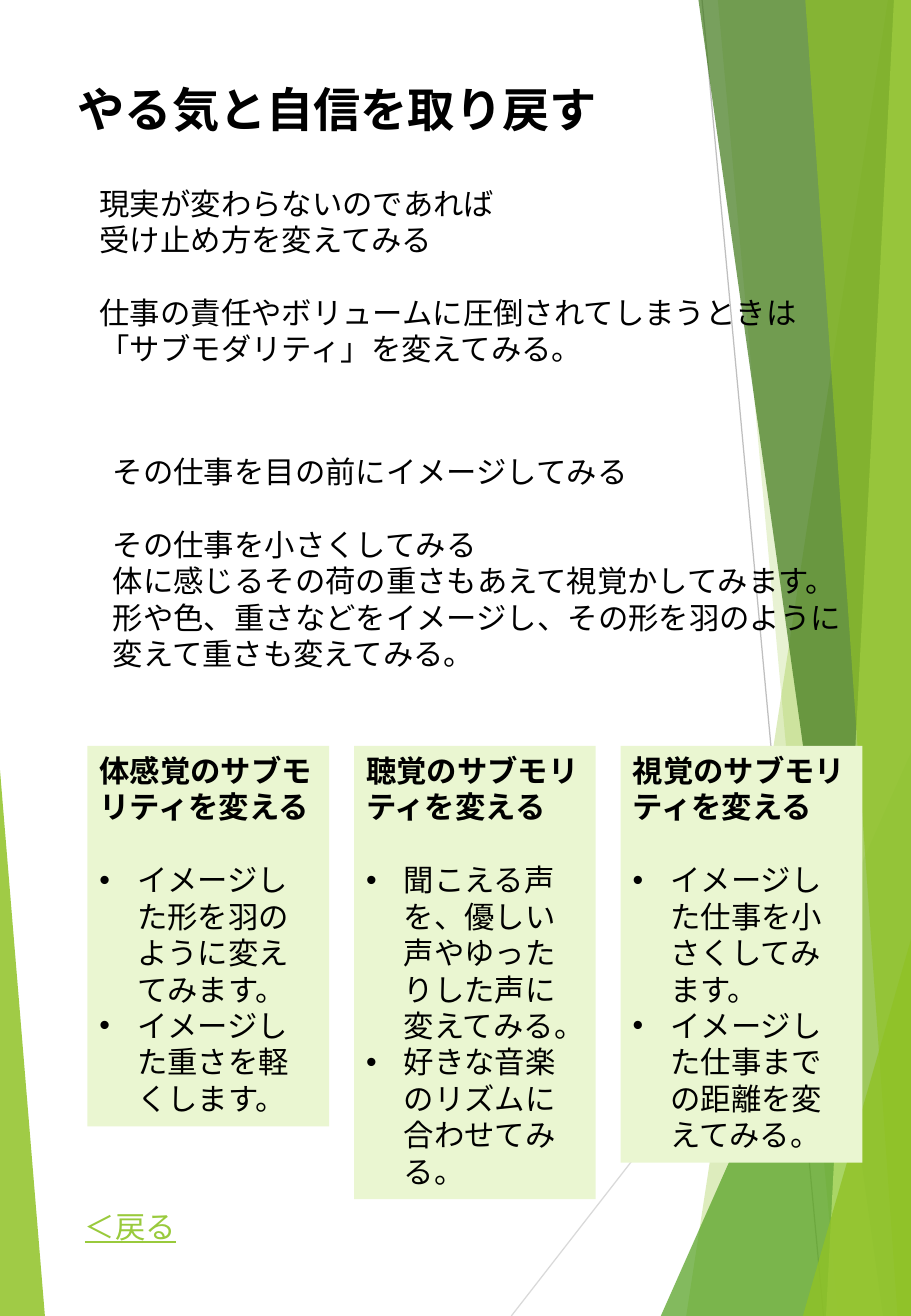
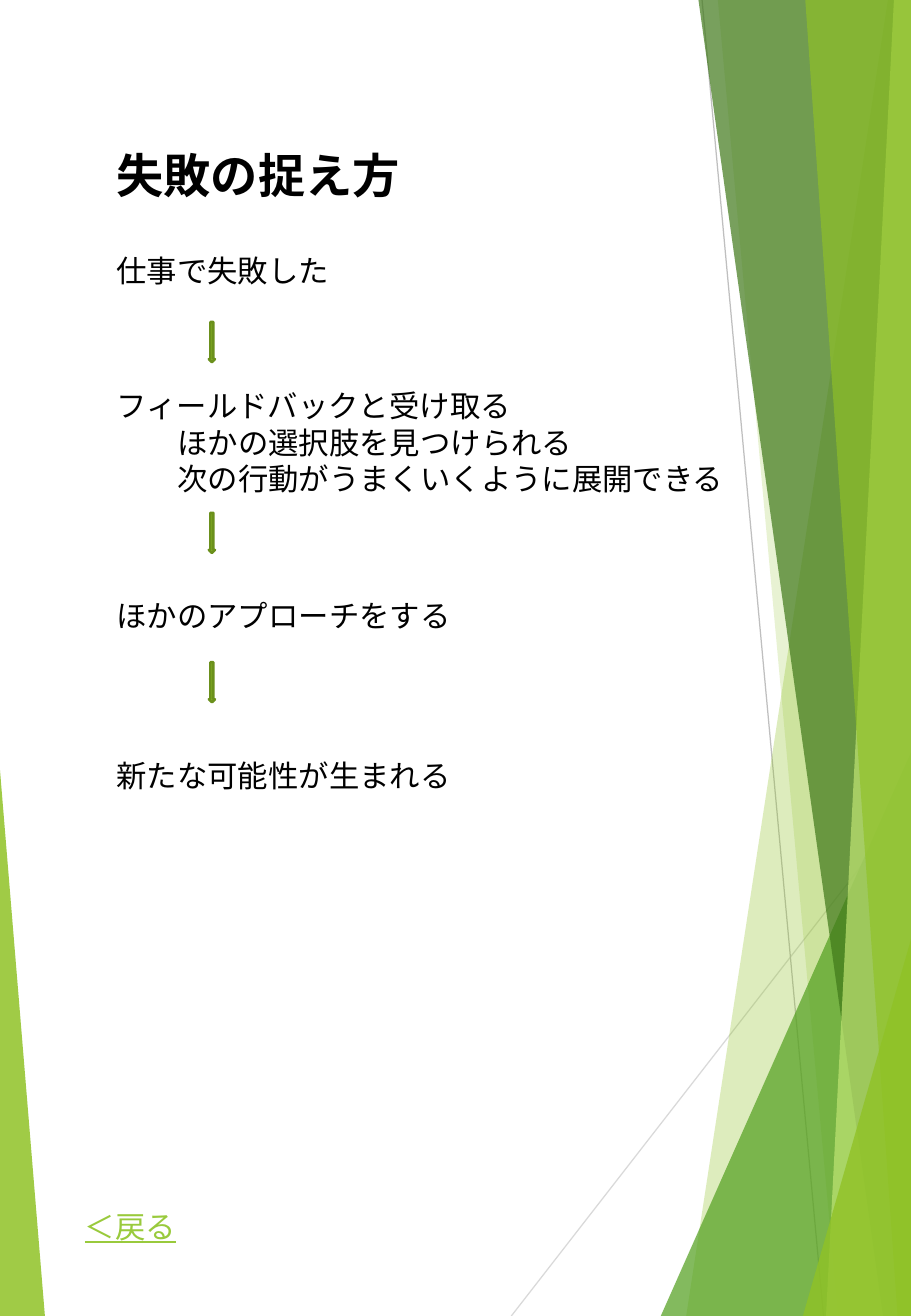
from dataclasses import dataclass

from lxml import etree
from pptx import Presentation
from pptx.dml.color import RGBColor
from pptx.enum.lang import MSO_LANGUAGE_ID
from pptx.enum.shapes import MSO_CONNECTOR, MSO_SHAPE
from pptx.enum.text import MSO_ANCHOR, MSO_AUTO_SIZE, PP_ALIGN
from pptx.oxml.ns import qn
from pptx.util import Inches, Pt

RECTANGLE, DOWN_ARROW = MSO_SHAPE.RECTANGLE, MSO_SHAPE.DOWN_ARROW
STRAIGHT = MSO_CONNECTOR.STRAIGHT
LEFT, TOP, NO_FIT = PP_ALIGN.LEFT, MSO_ANCHOR.TOP, MSO_AUTO_SIZE.NONE
JAPANESE = MSO_LANGUAGE_ID.JAPANESE

WIDTH, HEIGHT = Inches(7.5), Inches(10.83)
FONT = "Noto Sans"
TITLE_SIZE, BODY_SIZE, LINE_FACTOR = 28, 18, 1.2
BLACK = RGBColor(0x00, 0x00, 0x00)
LIME = RGBColor(0x90, 0xC2, 0x26)
GREEN = RGBColor(0x54, 0xA0, 0x21)
FOREST = RGBColor(0x3F, 0x78, 0x19)
PALE_LIME = RGBColor(0xC0, 0xE4, 0x74)
CARD_FILL = RGBColor(0xEA, 0xF6, 0xD1)
LINK = RGBColor(0x99, 0xCA, 0x3C)
ARROW_EDGE = RGBColor(0x6B, 0x90, 0x1C)
LIGHT_GRAY = RGBColor(0xD9, 0xD9, 0xD9)
GRAY = RGBColor(0xBF, 0xBF, 0xBF)

# All places and sizes are percentages of the slide: left, top, width, height.
RAYS = [(56.13, 100, 100, 60.94, LIGHT_GRAY), (77.07, 0, 90.4, 100, GRAY)]
# Top x, top y, bottom x, slide edge, colour, opacity.
LEFT_FACET = (0, 58.54, 4.93, 0, LIME, 85)
RIGHT_FACETS = [
    (97.47, 0, 75.33, 100, LIME, 30),
    (78.8, 0, 92, 100, LIME, 20),
    (100, 57.16, 72.53, 100, GREEN, 72),
    (76.67, 0, 96.93, 100, FOREST, 70),
    (98.13, 0, 90.67, 100, PALE_LIME, 70),
    (88.4, 0, 98.53, 100, LIME, 65),
    (100, 71.38, 88.13, 100, LIME, 80),
]
CARD_LEFT, CARD_TOP, CARD_WIDTH, CARD_PITCH = 9.6, 56.69, 26.53, 29.27
CARD_PADDING, CARD_LINE = 1.2, 2.77
CARDS = [
    ("体感覚のサブモリティを変える", 10,
     ["イメージした形を羽のように変えてみます。", "イメージした重さを軽くします。"]),
    ("聴覚のサブモリティを変える", 12,
     ["聞こえる声を、優しい声やゆったりした声に変えてみる。",
      "好きな音楽のリズムに合わせてみる。"]),
    ("視覚のサブモリティを変える", 11,
     ["イメージした仕事を小さくしてみます。",
      "イメージした仕事までの距離を変えてみる。"]),
]
STEP_LEFT, STEP_HEIGHT = 11.47, 3.69
STEPS = [
    ("仕事で失敗した", 18.74, 26.27),
    ("ほかのアプローチをする", 44.88, 39.73),
    ("新たな可能性が生まれる", 57.06, 39.73),
]
ARROW_TOPS = [24.47, 38.97, 50.32]


@dataclass
class Para:
    """One paragraph and the way it differs from plain body text."""
    text: str
    size: int = BODY_SIZE
    bold: bool = False
    underline: bool = False
    color: RGBColor = BLACK
    after_gap: bool = False
    indent: float = 0
    bullet: bool = False


def across(share):
    """Length from a percentage of the slide width."""
    return round(WIDTH * share / 100)


def down(share):
    """Length from a percentage of the slide height."""
    return round(HEIGHT * share / 100)


def box(left, top, width, height):
    """Slide lengths of a box given in percentages."""
    return across(left), down(top), across(width), down(height)


def write(shape, paras, wrap=True):
    """Fill a shape with formatted paragraphs."""
    frame = shape.text_frame
    frame.word_wrap, frame.auto_size = wrap, NO_FIT
    frame.vertical_anchor = TOP
    for index, para in enumerate(paras):
        paragraph = frame.add_paragraph() if index else frame.paragraphs[0]
        line = para.size * LINE_FACTOR
        paragraph.alignment = LEFT
        paragraph.line_spacing = Pt(line)
        paragraph.space_before = Pt(line if para.after_gap else 0)
        set_indent(paragraph, para)
        run = paragraph.add_run()
        run.text = para.text
        font = run.font
        font.name, font.size, font.bold = FONT, Pt(para.size), para.bold
        font.underline, font.language_id = para.underline, JAPANESE
        font.color.rgb = para.color
        latin = run._r.get_or_add_rPr().find(qn("a:latin"))
        east_asian = etree.Element(qn("a:ea"), typeface=FONT)
        latin.addnext(east_asian)


def set_indent(paragraph, para):
    """Set left indent and bullet of a paragraph."""
    props = paragraph._p.get_or_add_pPr()
    hanging = -Inches(para.indent) if para.bullet else 0
    props.set("marL", str(Inches(para.indent)))
    props.set("indent", str(hanging))
    if para.bullet:
        etree.SubElement(props, qn("a:buFont"), typeface="Arial")
        etree.SubElement(props, qn("a:buChar"), char="•")
    else:
        etree.SubElement(props, qn("a:buNone"))


def place(placeholder, area, paras, wrap=True):
    """Move a template placeholder and fill it."""
    (placeholder.left, placeholder.top,
     placeholder.width, placeholder.height) = box(*area)
    write(placeholder, paras, wrap)


def add_text(slide, area, paras, wrap=True):
    """Add a text box."""
    write(slide.shapes.add_textbox(*box(*area)), paras, wrap)


def add_title(slide, text, area):
    """Fill the slide title."""
    place(slide.shapes.title, area,
          [Para(text, size=TITLE_SIZE, bold=True)], wrap=False)


def add_back_label(slide):
    """Add the underlined return label at the foot."""
    add_text(slide, (8, 91.32, 13.73, 3.69),
             [Para("＜戻る", underline=True, color=LINK)])


def add_filled(slide, kind, area, color):
    """Add a flat preset shape without outline."""
    shape = slide.shapes.add_shape(kind, *box(*area))
    shape.shadow.inherit = False
    shape.fill.solid()
    shape.fill.fore_color.rgb = color
    shape.line.fill.background()
    return shape


def add_card(slide, column, heading, lines, points):
    """Add one tinted card with a heading and bullets."""
    area = (CARD_LEFT + column * CARD_PITCH, CARD_TOP,
            CARD_WIDTH, CARD_PADDING + lines * CARD_LINE)
    bullets = [Para(point, indent=0.31, bullet=True, after_gap=not index)
               for index, point in enumerate(points)]
    card = add_filled(slide, RECTANGLE, area, CARD_FILL)
    write(card, [Para(heading, bold=True), *bullets])


def add_arrow(slide, top):
    """Add a slim arrow between two steps."""
    arrow = add_filled(slide, DOWN_ARROW, (22.93, top, 0.67, 3.05), LIME)
    arrow.line.color.rgb = ARROW_EDGE
    arrow.line.width = Pt(1.5)


def add_ray(slide, x1, y1, x2, y2, color):
    """Add a thin background line."""
    ray = slide.shapes.add_connector(
        STRAIGHT, across(x1), down(y1), across(x2), down(y2))
    ray.line.color.rgb, ray.line.width = color, Pt(0.75)
    etree.SubElement(ray._element.spPr, qn("a:effectLst"))
    return ray


def add_facet(slide, top_x, top_y, bottom_x, edge, color, opacity):
    """Add a translucent facet that reaches to a slide edge."""
    builder = slide.shapes.build_freeform(across(top_x), down(top_y))
    corners = [(bottom_x, 100), (edge, 100), (edge, top_y)]
    builder.add_line_segments([(across(x), down(y)) for x, y in corners])
    facet = builder.convert_to_shape()
    facet.shadow.inherit = False
    facet.fill.solid()
    facet.fill.fore_color.rgb = color
    facet.line.fill.background()
    tint = facet._element.spPr.find(qn("a:solidFill"))[0]
    etree.SubElement(tint, qn("a:alpha"), val=str(opacity * 1000))
    return facet


def decorate_layout(layout, slide):
    """Draw the backdrop and hand it to the layout all slides share."""
    backdrop = [add_facet(slide, *LEFT_FACET)]
    backdrop += [add_ray(slide, *ray) for ray in RAYS]
    backdrop += [add_facet(slide, *facet) for facet in RIGHT_FACETS]
    for index, part in enumerate(backdrop):
        element = part._element
        element.xpath(".//p:cNvPr")[0].set("id", str(100 + index))
        layout.shapes.element.insert(2 + index, element)


def build_motivation(slide):
    """Slide on regaining motivation and confidence."""
    add_title(slide, "やる気と自信を取り戻す", (7.2, 5.63, 60.27, 5.26))
    place(slide.placeholders[1], (9.6, 13.57, 85.07, 14.96), [
        Para("現実が変わらないのであれば"),
        Para("受け止め方を変えてみる"),
        Para("仕事の責任やボリュームに圧倒されてしまうときは"
             "「サブモダリティ」を変えてみる。", after_gap=True),
    ])
    add_text(slide, (11.07, 33.98, 83.47, 17.73), [
        Para("その仕事を目の前にイメージしてみる"),
        Para("その仕事を小さくしてみる", after_gap=True),
        Para("体に感じるその荷の重さもあえて視覚かしてみます。"),
        Para("形や色、重さなどをイメージし、その形を羽のように"
             "変えて重さも変えてみる。"),
    ])
    for column, card in enumerate(CARDS):
        add_card(slide, column, *card)
    add_back_label(slide)


def build_failure(slide):
    """Slide on how to look at failure."""
    add_title(slide, "失敗の捉え方", (STEP_LEFT, 10.62, 34.13, 5.26))
    place(slide.placeholders[1], (STEP_LEFT, 28.99, 70, 9.33), [
        Para("フィールドバックと受け取る"),
        Para("ほかの選択肢を見つけられる", indent=0.5),
        Para("次の行動がうまくいくように展開できる", indent=0.5),
    ], wrap=False)
    for step, top, width in STEPS:
        add_text(slide, (STEP_LEFT, top, width, STEP_HEIGHT),
                 [Para(step)], wrap=False)
    for top in ARROW_TOPS:
        add_arrow(slide, top)
    add_back_label(slide)


def main():
    """Build and save the presentation."""
    deck = Presentation()
    deck.slide_width, deck.slide_height = WIDTH, HEIGHT
    layout = deck.slide_layouts[1]
    motivation = deck.slides.add_slide(layout)
    decorate_layout(layout, motivation)
    build_motivation(motivation)
    build_failure(deck.slides.add_slide(layout))
    deck.save("out.pptx")


main()
